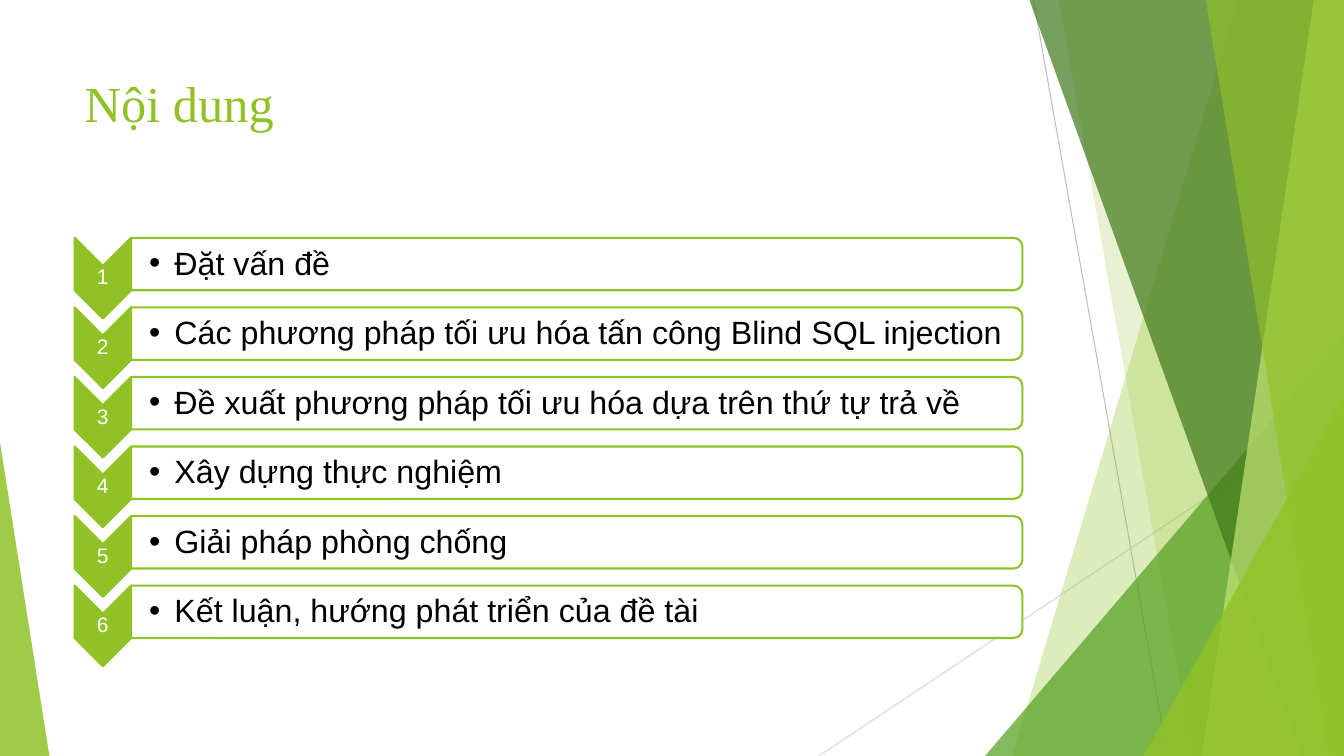
from dataclasses import dataclass

from lxml.etree import SubElement
from pptx import Presentation
from pptx.dml.color import RGBColor
from pptx.enum.shapes import MSO_CONNECTOR, MSO_SHAPE
from pptx.enum.text import MSO_ANCHOR, PP_ALIGN
from pptx.oxml.ns import qn
from pptx.util import Inches, Pt


@dataclass(frozen=True)
class Theme:
    lime: str = "90C226"
    green: str = "54A021"
    forest: str = "3F7819"
    pale: str = "C0E474"
    white: str = "FFFFFF"
    black: str = "000000"
    dark_rule: str = "BFBFBF"
    light_rule: str = "D9D9D9"
    title_font: str = "Times New Roman"
    body_font: str = "Arial"
    title_size: float = 36
    item_size: float = 23
    number_size: float = 15
    outline: float = 1.5
    hairline: float = 0.75


@dataclass(frozen=True)
class Box:
    """A region in grid columns and rows of one inch each."""
    left: float
    top: float
    width: float
    height: float

    def inner(self, left, top, width, height):
        return Box(self.left + left, self.top + top, width, height)

    def point(self, column, row):
        return Inches(self.left + column), Inches(self.top + row)

    def turned(self):
        """The frame that fills this box once it is rotated by 90 degrees."""
        shift = (self.width - self.height) / 2
        return Box(self.left + shift, self.top - shift, self.height, self.width)

    def lengths(self):
        return [Inches(n) for n in (self.left, self.top, self.width, self.height)]


THEME = Theme()
PAGE = Box(0, 0, 13.33, 7.5)
TITLE = "Nội dung"
TOPICS = [
    "Đặt vấn đề",
    "Các phương pháp tối ưu hóa tấn công Blind SQL injection",
    "Đề xuất phương pháp tối ưu hóa dựa trên thứ tự trả về",
    "Xây dựng thực nghiệm",
    "Giải pháp phòng chống",
    "Kết luận, hướng phát triển của đề tài",
]


def paint(shape, fill, opacity=100, line=None):
    shape.shadow.inherit = False
    shape.fill.solid()
    shape.fill.fore_color.rgb = RGBColor.from_string(fill)
    if opacity < 100:
        color = shape._element.spPr.find(qn("a:solidFill"))[0]
        SubElement(color, qn("a:alpha"), val=str(opacity * 1000))
    if line:
        shape.line.color.rgb = RGBColor.from_string(line)
        shape.line.width = Pt(THEME.outline)
    else:
        shape.line.fill.background()


def style(paragraph, font, size, color):
    paragraph.font.name = font
    paragraph.font.size = Pt(size)
    paragraph.font.color.rgb = RGBColor.from_string(color)


def add_rule(slide, box, start, end, color):
    rule = slide.shapes.add_connector(
        MSO_CONNECTOR.STRAIGHT, *box.point(*start), *box.point(*end))
    rule.line.color.rgb = RGBColor.from_string(color)
    rule.line.width = Pt(THEME.hairline)
    SubElement(rule._element.spPr, qn("a:effectLst"))


def add_triangle(slide, box, apex, color, opacity):
    triangle = slide.shapes.add_shape(MSO_SHAPE.ISOSCELES_TRIANGLE, *box.lengths())
    triangle.adjustments[0] = apex
    paint(triangle, color, opacity)


def add_slant(slide, box, top, bottom, color, opacity):
    """A full-height facet from a slanted left side to the right edge."""
    builder = slide.shapes.build_freeform(*box.point(top, 0))
    builder.add_line_segments([box.point(box.width, 0),
                               box.point(box.width, box.height),
                               box.point(bottom, box.height)])
    paint(builder.convert_to_shape(), color, opacity)


def add_facets(slide, box):
    width, height = box.width, box.height
    add_rule(slide, box, (2.13, 0), (3.46, height), THEME.dark_rule)
    add_rule(slide, box, (width, 4.03), (0, height), THEME.light_rule)

    def add_corner(base, rise, color, opacity):
        corner = box.inner(width - base, height - rise, base, rise)
        add_triangle(slide, corner, 1, color, opacity)

    add_slant(slide, box, 4.16, 1.92, THEME.lime, 30)
    add_slant(slide, box, 2.38, 3.71, THEME.lime, 20)
    add_corner(3.56, 4.17, THEME.green, 72)
    add_slant(slide, box, 2.09, 4.79, THEME.forest, 70)
    add_slant(slide, box, 4.91, 3.8, THEME.pale, 70)
    add_slant(slide, box, 3.84, 5.06, THEME.lime, 65)
    add_corner(1.99, 3.57, THEME.lime, 80)


def set_title(slide, box):
    title = slide.shapes.title
    title.left, title.top, title.width, title.height = box.lengths()
    title.text_frame.text = TITLE
    title.text_frame.vertical_anchor = MSO_ANCHOR.TOP
    paragraph = title.text_frame.paragraphs[0]
    paragraph.alignment = PP_ALIGN.LEFT
    style(paragraph, THEME.title_font, THEME.title_size, THEME.lime)


def add_turned(slide, kind, box, fill, opacity=100):
    shape = slide.shapes.add_shape(kind, *box.turned().lengths())
    shape.rotation = 90
    paint(shape, fill, opacity, THEME.lime)


def add_label(slide, box, text, inset, left_inset):
    frame = slide.shapes.add_textbox(*box.lengths()).text_frame
    frame.word_wrap = True
    frame.vertical_anchor = MSO_ANCHOR.MIDDLE
    frame.margin_top = frame.margin_right = frame.margin_bottom = Inches(inset)
    frame.margin_left = Inches(left_inset)
    frame.text = text
    paragraph = frame.paragraphs[0]
    paragraph.line_spacing = 0.9
    return paragraph


def add_bullet(paragraph, indent):
    properties = paragraph._p.get_or_add_pPr()
    properties.set("marL", str(Inches(indent)))
    properties.set("indent", str(-Inches(indent)))
    SubElement(properties, qn("a:buFont"), typeface=THEME.body_font)
    SubElement(properties, qn("a:buChar"), char="•")


def add_topic(slide, box, number, topic):
    marker, bar = 0.56, 0.52
    # Numbered chevron
    add_turned(slide, MSO_SHAPE.CHEVRON, box.inner(0, 0, marker, box.height), THEME.lime)
    label = add_label(slide, box.inner(0, 0.28, marker, 0.24), str(number), 0.01, 0.01)
    label.alignment = PP_ALIGN.CENTER
    style(label, THEME.body_font, THEME.number_size, THEME.white)
    # Topic bar
    length = box.width - marker
    add_turned(slide, MSO_SHAPE.ROUND_2_SAME_RECTANGLE,
               box.inner(marker, 0, length, bar), THEME.white, 90)
    label = add_label(slide, box.inner(marker, 0.03, length - 0.02, bar - 0.05),
                      topic, 0.02, 0.18)
    add_bullet(label, 0.25)
    style(label, THEME.body_font, THEME.item_size, THEME.black)


def add_topics(slide, box):
    marker_height = 0.8
    step = (box.height - marker_height) / (len(TOPICS) - 1)
    for index, topic in enumerate(TOPICS):
        row = box.inner(0, index * step, box.width, marker_height)
        add_topic(slide, row, index + 1, topic)


def build_contents(deck):
    slide = deck.slides.add_slide(deck.slide_layouts.get_by_name("Title Only"))
    add_facets(slide, PAGE.inner(8.12, 0, 5.21, PAGE.height))
    add_triangle(slide, PAGE.inner(0, 4.39, 0.49, 3.11), 0, THEME.lime, 85)
    set_title(slide, PAGE.inner(0.74, 0.67, 9.4, 1.44))
    add_topics(slide, PAGE.inner(0.74, 2.36, 9.4, 4.25))


deck = Presentation()
deck.slide_width, deck.slide_height = Inches(PAGE.width), Inches(PAGE.height)
build_contents(deck)
deck.save("out.pptx")
